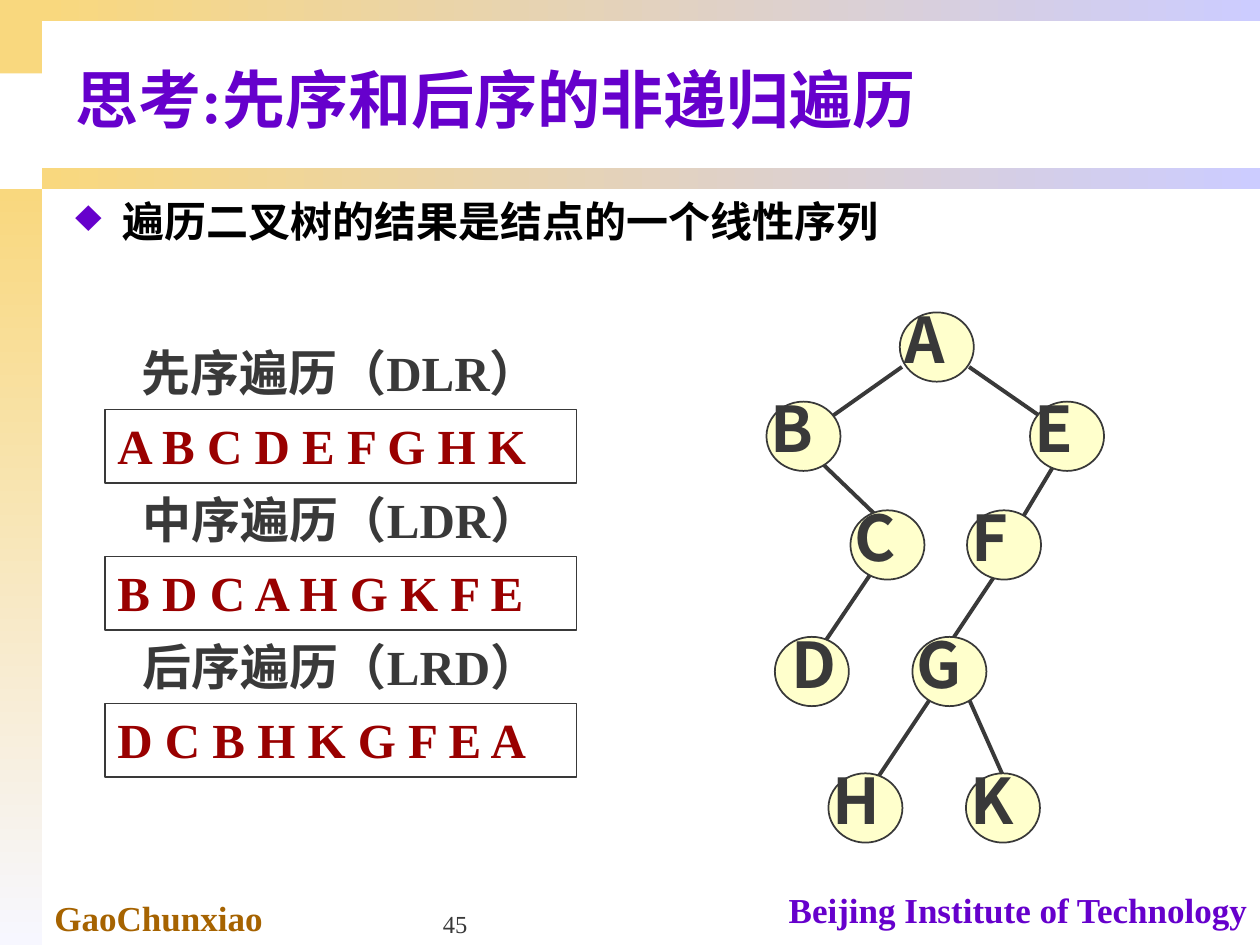
from lxml.etree import SubElement
from pptx import Presentation
from pptx.dml.color import RGBColor
from pptx.enum.shapes import MSO_CONNECTOR, MSO_SHAPE
from pptx.enum.text import MSO_ANCHOR, MSO_AUTO_SIZE, PP_ALIGN
from pptx.oxml.ns import qn
from pptx.util import Inches, Pt

GOLD = RGBColor(0xF9, 0xD8, 0x7E)
MIST = RGBColor(0xF7, 0xF7, 0xFF)
LILAC = RGBColor(0xCC, 0xCC, 0xFF)
PURPLE = RGBColor(0x66, 0x00, 0xCC)
BROWN = RGBColor(0xA6, 0x63, 0x00)
INK = RGBColor(0x39, 0x39, 0x39)
BLACK = RGBColor(0x00, 0x00, 0x00)
RED = RGBColor(0x99, 0x00, 0x00)
CREAM = RGBColor(0xFF, 0xFF, 0xCC)
SERIF = "Times New Roman"
SANS = "Noto Sans CJK SC"
CELL = Inches(10) / 120

TITLE = dict(name=SERIF, size=Pt(36), bold=True, color=PURPLE)
BULLET = dict(TITLE, size=Pt(24), color=BLACK)
AUTHOR = dict(TITLE, size=Pt(20), color=BROWN)
SCHOOL = dict(AUTHOR, color=PURPLE)
NUMBER = dict(name=SERIF, size=Pt(14), bold=False, color=INK)
HEADING = dict(TITLE, size=Pt(28), color=INK)
SEQUENCE = dict(HEADING, color=RED)
LETTER = dict(TITLE, name=SANS, color=INK)

BANDS = [
    ((0, 0, 4, 7), None, 0),
    ((0, 18, 4, 72), MIST, 270),
    ((4, 16, 116, 2), LILAC, 0),
    ((4, 0, 116, 2), LILAC, 0),
]
ORDERS = [
    ("先序遍历（DLR）", "A B C D E F G H K", PP_ALIGN.LEFT, 2.3),
    ("中序遍历（LDR）", "B D C A H G K F E", PP_ALIGN.CENTER, 0),
    ("后序遍历（LRD）", "D C B H K G F E A", PP_ALIGN.CENTER, 0),
]
LEVELS = [0, 8.5, 18.85, 30.9, 43.9]
NODES = [
    ("A", 12.7, 0), ("B", 0, 1), ("E", 25.1, 1), ("C", 8, 2), ("F", 19.1, 2),
    ("D", 0.8, 3), ("G", 13.9, 3), ("H", 5.9, 4), ("K", 19, 4),
]
EDGES = [
    (12.9, 5.2, 4.4, 11.2), (19.3, 5.2, 27.8, 11.1),
    (5.1, 14.2, 10.4, 19.3), (27.6, 14.2, 24, 20.2),
    (10.4, 24.2, 5, 32.2), (23, 23.2, 17, 32.2),
    (16, 36.2, 10, 45.2), (19, 36.2, 23, 45.2),
]


def cells(*values):
    """Turn grid cells into lengths."""
    return [round(v * CELL) for v in values]


def write(sp, text, style, align=PP_ALIGN.LEFT, anchor=MSO_ANCHOR.TOP):
    """Put one formatted line of text into a shape."""
    tf = sp.text_frame
    frame = dict(word_wrap=True, auto_size=MSO_AUTO_SIZE.NONE, vertical_anchor=anchor)
    for key, value in frame.items():
        setattr(tf, key, value)
    p = tf.paragraphs[0]
    p.alignment = align
    r = p.add_run()
    r.text = text
    for key, value in style.items():
        if key == "color":
            r.font.color.rgb = value
        else:
            setattr(r.font, key, value)
    return tf


def add_text(s, box, text, style, **places):
    """Add a text box on the grid."""
    return write(s.shapes.add_textbox(*cells(*box)), text, style, **places)


def add_outlined(s, kind, box):
    """Add an unfilled preset shape with a thin dark outline."""
    sp = s.shapes.add_shape(kind, *cells(*box))
    sp.shadow.inherit = False
    sp.fill.background()
    sp.line.color.rgb = INK
    sp.line.width = Pt(1)
    return sp


def draw_frame(s):
    """Draw the coloured bands around the slide."""
    for box, end, angle in BANDS:
        sp = s.shapes.add_shape(MSO_SHAPE.RECTANGLE, *cells(*box))
        sp.shadow.inherit = False
        sp.line.fill.background()
        if end is None:
            sp.fill.solid()
            sp.fill.fore_color.rgb = GOLD
            continue
        sp.fill.gradient()
        sp.fill.gradient_angle = angle
        for stop, color, position in zip(sp.fill.gradient_stops, (GOLD, end), (0, 1)):
            stop.color.rgb = color
            stop.position = position


def draw_footer(s):
    """Write the author, the school and the slide number."""
    add_text(s, (4, 84.8, 42, 5.2), "GaoChunxiao", AUTHOR)
    add_text(s, (73, 84, 47, 5.2), "Beijing Institute of Technology", SCHOOL,
             align=PP_ALIGN.RIGHT)
    add_text(s, (41, 84, 25, 6), "45", NUMBER, anchor=MSO_ANCHOR.BOTTOM)


def draw_title(s, box):
    """Place and write the title."""
    sp = s.shapes.title
    sp.left, sp.top, sp.width, sp.height = cells(*box)
    write(sp, "思考:先序和后序的非递归遍历", TITLE, anchor=MSO_ANCHOR.MIDDLE)


def draw_statement(s, box):
    """Write the bulleted statement."""
    tf = add_text(s, box, "遍历二叉树的结果是结点的一个线性序列", BULLET)
    pPr = tf.paragraphs[0]._p.get_or_add_pPr()
    indent = cells(4.5)[0]
    pPr.set("marL", str(indent))
    pPr.set("indent", str(-indent))
    SubElement(SubElement(pPr, qn("a:buClr")), qn("a:srgbClr")).set("val", str(PURPLE))
    SubElement(pPr, qn("a:buSzPct")).set("val", "110000")
    SubElement(pPr, qn("a:buChar")).set("char", "♦")


def draw_orders(s, box):
    """Stack the headings and the framed sequences in equal rows."""
    left, top, width, height = box
    row = height / (2 * len(ORDERS))
    for i, (heading, sequence, align, inset) in enumerate(ORDERS):
        y = top + 2 * i * row
        tf = add_text(s, (left, y, width, row), heading, HEADING, align=align)
        tf.margin_left += cells(inset)[0]
        sp = add_outlined(s, MSO_SHAPE.RECTANGLE, (left, y + row, width, row))
        write(sp, sequence, SEQUENCE)


def draw_tree(s, left, top):
    """Draw the edges of the binary tree, then its lettered nodes."""
    for x1, y1, x2, y2 in EDGES:
        ends = cells(left + x1, top + y1, left + x2, top + y2)
        line = s.shapes.add_connector(MSO_CONNECTOR.STRAIGHT, *ends)
        line.line.color.rgb = INK
        line.line.width = Pt(2.25)
        SubElement(line._element.spPr, qn("a:effectLst"))
    for letter, column, level in NODES:
        x, y = left + column, top + LEVELS[level]
        sp = add_outlined(s, MSO_SHAPE.OVAL, (x, y, 7.05, 6.6))
        sp.fill.solid()
        sp.fill.fore_color.rgb = CREAM
        shift = 1.6 if letter == "D" else 0.4
        tf = add_text(s, (x + shift, y - 1.7, 8, 8.4), letter, LETTER)
        tf.margin_left = 0


def main():
    """Build and save the slide."""
    prs = Presentation()
    prs.slide_width, prs.slide_height = cells(120, 90)
    s = prs.slides.add_slide(prs.slide_layouts[5])
    draw_frame(s)
    draw_footer(s)
    draw_title(s, (6, 3, 114, 12.8))
    draw_statement(s, (6, 18, 114, 65))
    draw_orders(s, (10, 32, 44.9, 42))
    draw_tree(s, 73, 29.75)
    prs.save("out.pptx")


if __name__ == "__main__":
    main()
